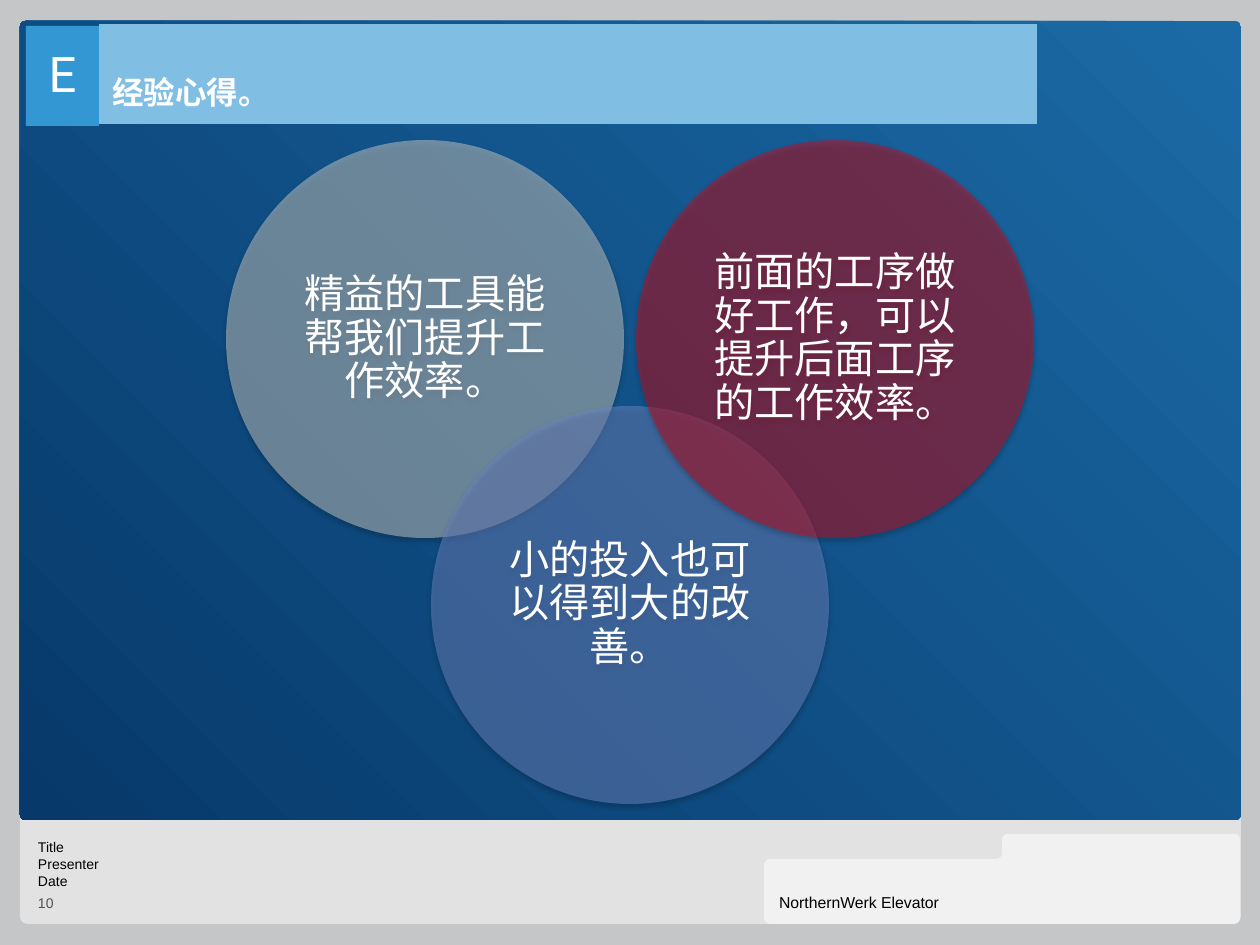
from lxml.etree import SubElement
from pptx import Presentation
from pptx.dml.color import RGBColor
from pptx.enum.shapes import MSO_SHAPE as SHAPE
from pptx.enum.text import MSO_ANCHOR as ANCHOR, PP_ALIGN as ALIGN
from pptx.oxml import parse_xml
from pptx.oxml.ns import nsdecls, qn
from pptx.util import Pt

PX = 914400 / 126
FRAME = RGBColor(0xC5, 0xC6, 0xC8)
FOOTER = RGBColor(0xE2, 0xE2, 0xE2)
TAB = RGBColor(0xF1, 0xF1, 0xF1)
NAVY = RGBColor(0x07, 0x39, 0x6A)
OCEAN = RGBColor(0x1B, 0x6A, 0xA6)
BADGE = RGBColor(0x33, 0x97, 0xD3)
BAR = RGBColor(0x80, 0xBE, 0xE4)
GREY = RGBColor(0xC9, 0xCB, 0xC7)
BLUE = RGBColor(0x6B, 0x87, 0xC7)
RED = RGBColor(0xC5, 0x0E, 0x1F)
MUTED = RGBColor(0x51, 0x51, 0x51)
BLACK = RGBColor(0, 0, 0)
WHITE = RGBColor(0xFF, 0xFF, 0xFF)


def emu(px):
    return round(px * PX)


def add_block(s, kind, box, color, adj=None):
    sp = s.shapes.add_shape(kind, *map(emu, box))
    sp.shadow.inherit = False
    sp.fill.solid()
    sp.fill.fore_color.rgb = color
    sp.line.fill.background()
    if adj is not None:
        sp.adjustments[0] = adj
    return sp


def set_frame(tf, anchor, margins):
    tf.word_wrap = True
    tf.vertical_anchor = anchor
    tf.margin_left, tf.margin_top, tf.margin_right, tf.margin_bottom = map(emu, margins)


def add_run(p, text, size, color, font="Arial", bold=False):
    r = p.add_run()
    r.text = text
    r.font.size = Pt(size)
    r.font.name = font
    r.font.bold = bold
    r.font.color.rgb = color


def add_panel(s, box):
    sp = add_block(s, SHAPE.ROUNDED_RECTANGLE, box, NAVY, 0.007)
    fill = sp._element.spPr.find(qn("a:solidFill"))
    fill.getparent().replace(fill, parse_xml(
        f'<a:gradFill {nsdecls("a")} rotWithShape="1"><a:gsLst>'
        f'<a:gs pos="0"><a:srgbClr val="{NAVY}"/></a:gs>'
        f'<a:gs pos="100000"><a:srgbClr val="{OCEAN}"/></a:gs></a:gsLst>'
        '<a:path path="circle"><a:fillToRect t="100000" r="100000"/></a:path>'
        '</a:gradFill>'))


def add_tabs(s, box):
    x, y, w, h = box
    half, step = w // 2, 25
    rounded = SHAPE.ROUNDED_RECTANGLE
    add_block(s, rounded, (x + half, y, half, h), TAB, 0.064)
    add_block(s, rounded, (x, y + step, half + 15, h - step), TAB, 0.095)
    add_block(s, SHAPE.RECTANGLE, (x + half - 14, y + 15, 15, 10), TAB)
    add_block(s, rounded, (x, y, half, step), FOOTER, 0.221)
    tb = s.shapes.add_textbox(*map(emu, (x + 15, y + 39, half - 15, 39)))
    set_frame(tb.text_frame, ANCHOR.BOTTOM, (0, 1, 0, 0))
    add_run(tb.text_frame.paragraphs[0], "NorthernWerk Elevator", 9, BLACK)


def add_info(s, box):
    tf = s.shapes.add_textbox(*map(emu, box)).text_frame
    set_frame(tf, ANCHOR.TOP, (0, 0, 0, 0))
    p = tf.paragraphs[0]
    for text in ("Title", "Presenter", "Date"):
        add_run(p, text, 8, BLACK)
        p = tf.add_paragraph()
    p.line_spacing = 1.3
    add_run(p, "10", 8, MUTED)


def add_header(s, box):
    x, y, w, h = box
    badge_w = 73
    margins = (13, 6, 13, 13)
    badge = add_block(s, SHAPE.RECTANGLE, (x, y + 2, badge_w, h), BADGE)
    set_frame(badge.text_frame, ANCHOR.MIDDLE, margins)
    p = badge.text_frame.paragraphs[0]
    p.alignment = ALIGN.CENTER
    add_run(p, "E", 28, WHITE, "Roboto")

    title = s.shapes.title
    s.shapes._spTree.append(title._element)
    title.left, title.top, title.width, title.height = map(
        emu, (x + badge_w, y, w - badge_w, h))
    title.fill.solid()
    title.fill.fore_color.rgb = BAR
    set_frame(title.text_frame, ANCHOR.BOTTOM, margins)
    p = title.text_frame.paragraphs[0]
    p.alignment = ALIGN.LEFT
    p.line_spacing = 2.0
    add_run(p, "经验心得。", 18, WHITE, "Roboto", True)


def add_circle(s, box, color, text):
    sp = add_block(s, SHAPE.OVAL, box, color)
    spPr = sp._element.spPr
    clr = spPr.find(qn("a:solidFill")).find(qn("a:srgbClr"))
    SubElement(clr, qn("a:alpha"), val="50000")
    spPr.find(qn("a:effectLst")).append(parse_xml(
        f'<a:outerShdw {nsdecls("a")} blurRad="40000" dist="20000" dir="5400000" '
        'rotWithShape="0"><a:srgbClr val="000000"><a:alpha val="38000"/>'
        '</a:srgbClr></a:outerShdw>'))
    set_frame(sp.text_frame, ANCHOR.MIDDLE, (13, 13, 13, 13))
    p = sp.text_frame.paragraphs[0]
    p.alignment = ALIGN.CENTER
    p.line_spacing = 0.9
    add_run(p, text, 23, WHITE)


def add_circles(s, box):
    x, y, w, h = box
    d = 398
    step = (w - d) / 2
    circles = (
        (GREY, "精益的工具能帮我们提升工作效率。"),
        (BLUE, "小的投入也可以得到大的改善。"),
        (RED, "前面的工序做好工作，可以提升后面工序的工作效率。"),
    )
    for i, (color, text) in enumerate(circles):
        top = y + (h - d) * (i % 2)
        add_circle(s, (x + i * step, top, d, d), color, text)


def main():
    prs = Presentation()
    prs.slide_width, prs.slide_height = emu(1260), emu(945)
    s = prs.slides.add_slide(prs.slide_layouts[5])
    s.background.fill.solid()
    s.background.fill.fore_color.rgb = FRAME
    add_block(s, SHAPE.ROUNDED_RECTANGLE, (20, 777, 1221, 147), FOOTER, 0.05)
    add_panel(s, (20, 21, 1221, 799))
    add_tabs(s, (764, 834, 476, 90))
    add_info(s, (38, 839, 421, 73))
    add_header(s, (26, 24, 1011, 100))
    add_circles(s, (226, 140, 808, 664))
    prs.save("out.pptx")


if __name__ == "__main__":
    main()
